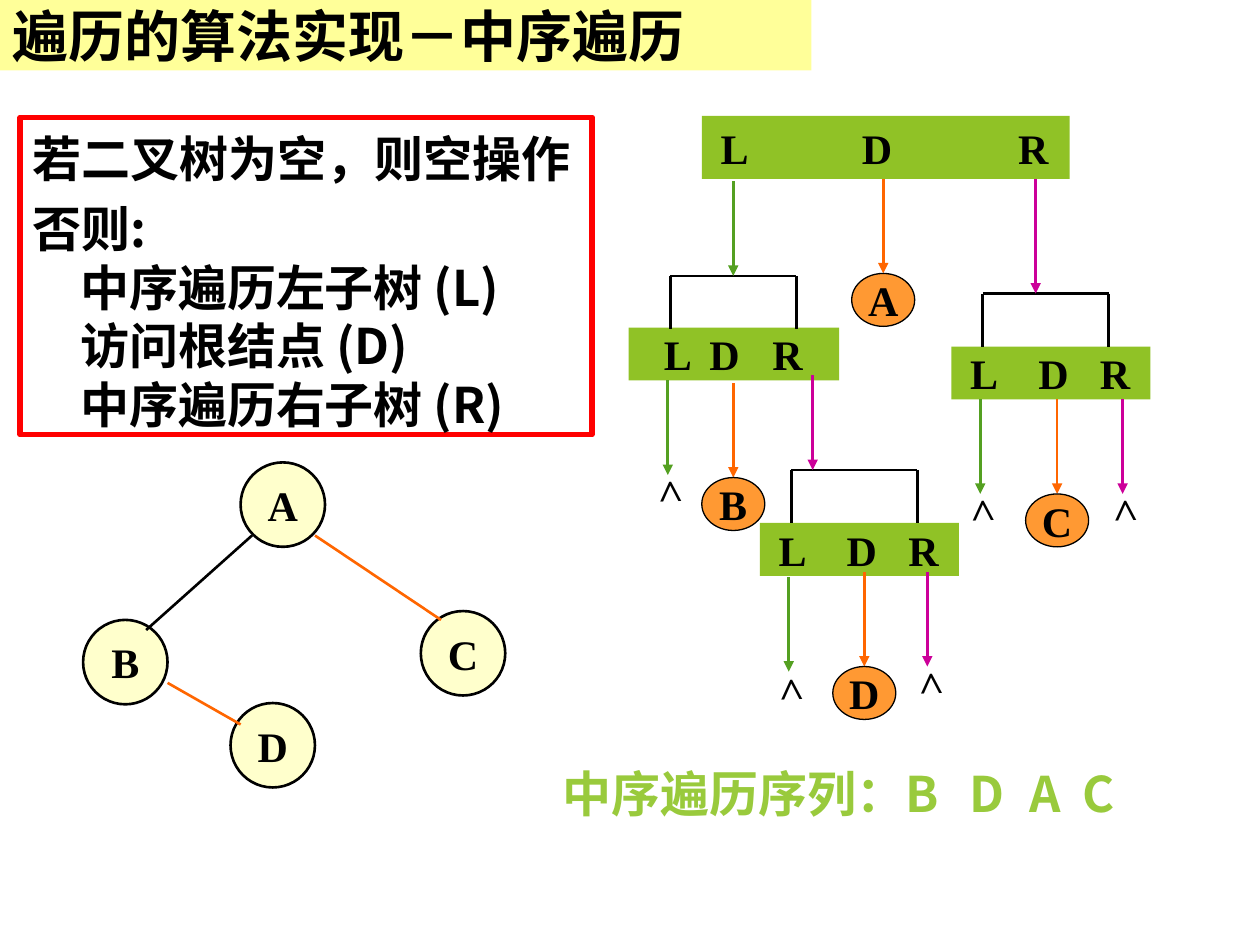
from lxml.etree import SubElement
from pptx import Presentation
from pptx.dml.color import RGBColor
from pptx.enum.shapes import MSO_CONNECTOR as CONN, MSO_SHAPE as SHAPE
from pptx.enum.text import MSO_ANCHOR as ANCHOR, PP_ALIGN as ALIGN
from pptx.oxml.ns import qn
from pptx.util import Inches, Pt

COLORS = {
    "black": "000000", "title": "FFFF99", "frame": "FF0000", "node": "FFFFCC",
    "visit": "FF9933", "bar": "90C226", "L": "54A021", "D": "FF6600",
    "R": "CC0099", "result": "99CA3C",
}
SANS, SERIF = "Noto Sans CJK SC", "Times New Roman"

prs = Presentation()
prs.slide_width, prs.slide_height = Inches(10), Inches(7.5)
s = prs.slides.add_slide(prs.slide_layouts[6])


def box(kind, at, text, size, font, fill=None, line=None, width=1, color="black",
        align=ALIGN.LEFT, anchor=ANCHOR.MIDDLE, tabs=(), wrap=True):
    at = [Inches(v) for v in at]
    if kind is None:
        sp = s.shapes.add_textbox(*at)
    else:
        sp = s.shapes.add_shape(kind, *at)
        sp.shadow.inherit = False
        if fill:
            sp.fill.solid()
            sp.fill.fore_color.rgb = RGBColor.from_string(COLORS[fill])
        else:
            sp.fill.background()
        if line:
            sp.line.color.rgb = RGBColor.from_string(COLORS[line])
            sp.line.width = Pt(width)
        else:
            sp.line.fill.background()
    tf = sp.text_frame
    tf.word_wrap, tf.vertical_anchor, tf.text = wrap, anchor, text
    for p in tf.paragraphs:
        p.alignment = align
        if tabs:
            tab_list = SubElement(p._p.get_or_add_pPr(), qn("a:tabLst"))
            for pos in tabs:
                SubElement(tab_list, qn("a:tab"), pos=str(Inches(pos)), algn="l")
        p.font.size, p.font.bold, p.font.name = Pt(size), True, font
        p.font.color.rgb = RGBColor.from_string(COLORS[color])
        SubElement(p._p.pPr.find(qn("a:defRPr")), qn("a:ea"), typeface=font)
    return sp


def line(x1, y1, x2, y2, color="black", arrow=False):
    c = s.shapes.add_connector(CONN.STRAIGHT, *[Inches(v) for v in (x1, y1, x2, y2)])
    c.line.color.rgb = RGBColor.from_string(COLORS[color])
    c.line.width = Pt(1.5)
    if arrow:
        SubElement(c.line._get_or_add_ln(), qn("a:tailEnd"), type="triangle")
    SubElement(c._element.spPr, qn("a:effectLst"))


box(SHAPE.RECTANGLE, (0, 0, 6.44, 0.56), "遍历的算法实现－中序遍历", 32, SANS, "title")

steps = box(SHAPE.RECTANGLE, (0.16, 0.93, 4.54, 2.52),
            "若二叉树为空，则空操作\n否则:\v中序遍历左子树 (L)\v访问根结点 (D)\v中序遍历右子树 (R)",
            28, SANS, line="frame", width=3, anchor=ANCHOR.TOP)
result = box(None, (4.37, 5.97, 5.27, 1.04), "中序遍历序列：B\tD\tA\tC", 28, SANS,
             color="result", anchor=ANCHOR.TOP, tabs=(3.23, 3.7, 4.12))
for sp in (steps, result):
    sp.text_frame.margin_top = Inches(0.09)
    for p in sp.text_frame.paragraphs:
        p.line_spacing = Pt(33.4)
for p in steps.text_frame.paragraphs:
    p._p.pPr.set("marL", str(Inches(0.38)))
    p._p.pPr.set("indent", str(Inches(-0.38)))
steps.text_frame.paragraphs[1].space_before = Pt(7)

for name, x, y in [("A", 1.91, 3.67), ("D", 1.83, 5.58), ("B", 0.66, 4.92), ("C", 3.34, 4.85)]:
    box(SHAPE.OVAL, (x, y, 0.67, 0.67), name, 24, SERIF, "node", "black", 1.5,
        align=ALIGN.CENTER, wrap=False)
line(2, 4.25, 1.16, 5)
line(2.5, 4.25, 3.5, 4.92, "D")
line(1.33, 5.42, 1.91, 5.75, "D")

for x, y, w, h, start, tabs in [
    (5.57, 0.92, 2.92, 0.5, 0.15, (1.12, 2.36)),
    (4.99, 2.6, 1.67, 0.42, 0.28, (0.36, 0.86)),
    (6.03, 4.15, 1.58, 0.42, 0.15, (0.54, 1.03)),
    (7.55, 2.75, 1.58, 0.42, 0.15, (0.54, 1.03)),
]:
    bar = box(SHAPE.RECTANGLE, (x, y, w, h), "L\tD\tR", 24, SERIF, "bar", tabs=tabs)
    bar.text_frame.margin_left, bar.text_frame.margin_right = Inches(start), 0

for x, y in [(5.32, 2.19), (6.28, 3.73), (7.8, 2.33)]:
    line(x, y, x + 1, y)
    for leg in (x, x + 1):
        line(leg, y, leg, y + 0.42)

for step, x, top, bottom in [
    ("L", 5.82, 1.44, 2.19), ("D", 7.01, 1.42, 2.17), ("R", 8.22, 1.42, 2.33),
    ("L", 5.3, 3.02, 3.77), ("D", 5.82, 3.04, 3.79), ("R", 6.45, 2.98, 3.73),
    ("L", 6.26, 4.58, 5.33), ("D", 6.86, 4.54, 5.29), ("R", 7.36, 4.54, 5.29),
    ("L", 7.78, 3.17, 3.92), ("D", 8.39, 3.17, 3.92), ("R", 8.91, 3.17, 3.92),
]:
    line(x, top, x, bottom, step, arrow=True)

for name, x, y in [("A", 6.76, 2.17), ("B", 5.57, 3.79), ("C", 8.14, 3.92), ("D", 6.61, 5.29)]:
    box(SHAPE.OVAL, (x, y, 0.5, 0.42), name, 24, SERIF, "visit", "black", 0.75,
        align=ALIGN.CENTER, wrap=False)

for x, y in [(5.09, 3.64), (7.16, 5.16), (6.05, 5.21), (8.7, 3.79), (7.57, 3.79)]:
    empty = box(None, (x, y, 0.42, 0.5), ">", 24, SERIF, anchor=ANCHOR.TOP)
    empty.rotation = 268.3

prs.save("out.pptx")
